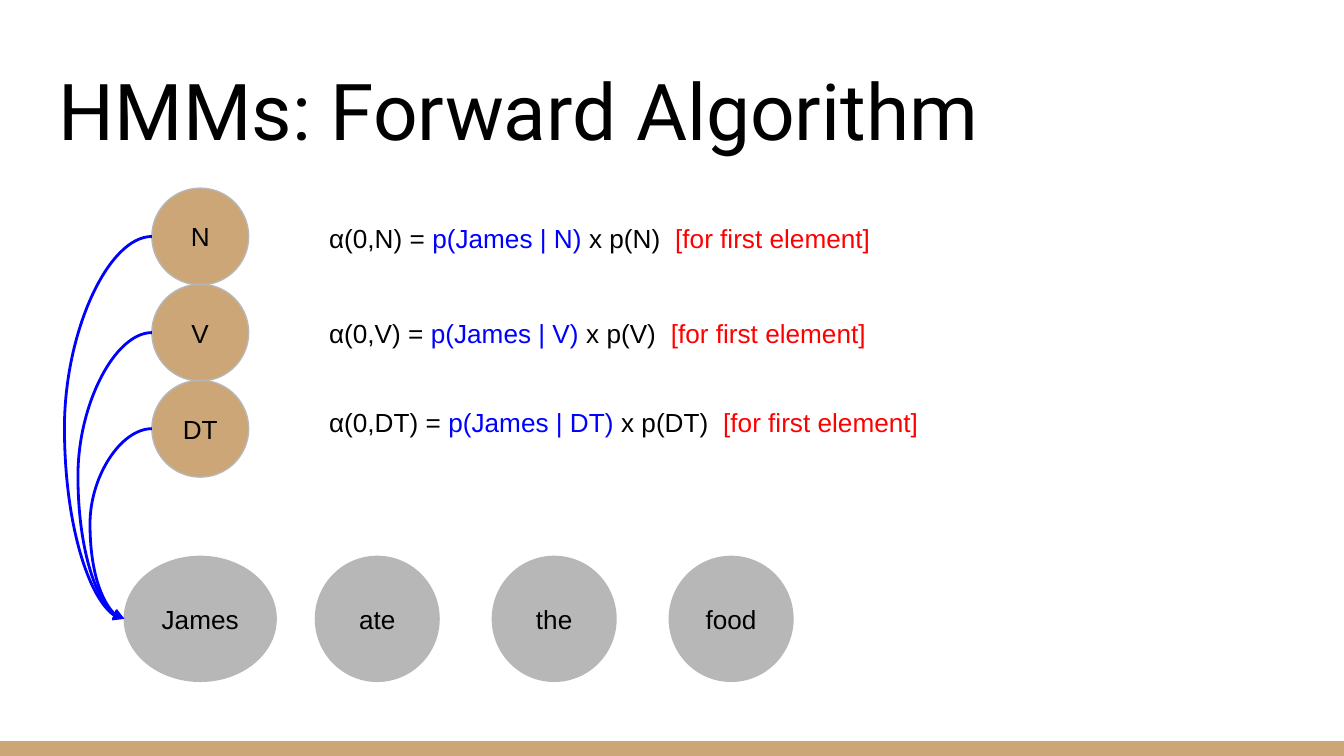
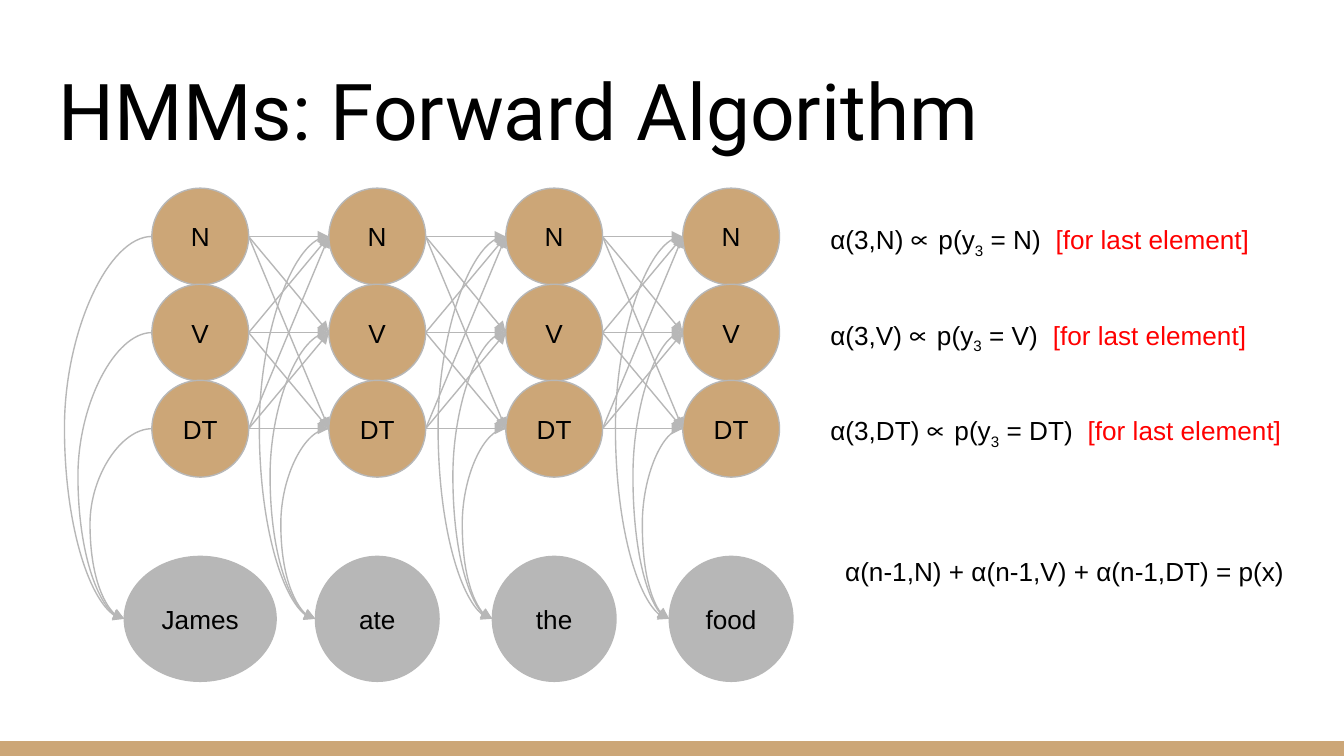
from dataclasses import dataclass

from lxml import etree
from pptx import Presentation
from pptx.dml.color import RGBColor as RGB
from pptx.enum.shapes import MSO_CONNECTOR as LINE, MSO_SHAPE as SHAPE
from pptx.enum.text import MSO_ANCHOR as ANCHOR, PP_ALIGN as ALIGN
from pptx.oxml.ns import qn
from pptx.util import Inches, Pt


@dataclass(frozen=True)
class Theme:
    tan: str = "CCA677"
    gray: str = "B7B7B7"
    blue: str = "0000FF"
    red: str = "FF0000"
    black: str = "000000"
    body_font: str = "Arial"
    title_font: str = "Roboto"
    symbol_font: str = "Courier New"
    title_size: int = 42
    body_size: int = 14
    symbol_size: int = 18
    thin: float = 0.75
    thick: float = 1.5


T = Theme()


def write(sp, text, size=T.body_size, font=T.body_font, color=T.black,
          align=ALIGN.LEFT, anchor=ANCHOR.MIDDLE, baseline=0, spacing=0):
    """Append a formatted run to the first paragraph of a shape."""
    tf = sp.text_frame
    tf.word_wrap = True
    tf.vertical_anchor = anchor
    tf.margin_left = tf.margin_right = tf.margin_top = tf.margin_bottom = Inches(0.1)
    p = tf.paragraphs[0]
    p.alignment = align
    r = p.add_run()
    r.text = text
    r.font.size, r.font.name = Pt(size), font
    r.font.color.rgb = RGB.from_string(color)
    if baseline:
        r.font._element.set("baseline", str(baseline * 1000))
    if spacing:
        r.font._element.set("spc", str(spacing * 100))


def arrow(s, start, end, color=T.gray, width=T.thin, bend_x=None):
    """Draw an arrow, curved through bend_x when that is given."""
    kind = LINE.STRAIGHT if bend_x is None else LINE.CURVE
    c = s.shapes.add_connector(kind, *map(Inches, start + end))
    c.line.color.rgb = RGB.from_string(color)
    c.line.width = Pt(width)
    etree.SubElement(c.line._get_or_add_ln(), qn("a:tailEnd"), type="triangle")
    sp_pr = c._element.spPr
    etree.SubElement(sp_pr, qn("a:effectLst"))
    if bend_x is not None:
        ratio = (start[0] - bend_x) / (start[0] - end[0])
        guides = sp_pr.find(qn("a:prstGeom")).get_or_add_avLst()
        etree.SubElement(guides, qn("a:gd"), name="adj1", fmla=f"val {round(ratio * 100000)}")


# Trellis geometry
TAGS = ["N", "V", "DT"]
WORDS = ["James", "ate", "the", "food"]
TAG_SIZE = 0.72
WORD_TOP, WORD_WIDTH, WORD_HEIGHT, FIRST_WORD_WIDTH = 4.14, 0.92, 0.93, 1.13
FIRST_X, LAST_X = 1.49, 5.44
FIRST_Y, LAST_Y = 1.76, 3.19
centers = [FIRST_X + (LAST_X - FIRST_X) * i / (len(WORDS) - 1) for i in range(len(WORDS))]
tag_ys = [FIRST_Y + (LAST_Y - FIRST_Y) * i / (len(TAGS) - 1) for i in range(len(TAGS))]
word_widths = [FIRST_WORD_WIDTH] + [WORD_WIDTH] * (len(WORDS) - 1)
BENDS = [(0.48, 0.58, 0.67), (1.93, 2.01, 2.09), (3.26, 3.37, 3.44), (4.58, 4.71, 4.78)]

# Formulas: left, top, width, runs
wide_space = (" ", {"spacing": 4})
first_formulas = [
    (2.35, top, width, [
        (f"α(0,{tag}) = ", {}),
        (f"p(James | {tag})", {"color": T.blue}),
        (f" x p({tag})", {}),
        wide_space,
        ("[for first element]", {"color": T.red})])
    for tag, top, width in zip(TAGS, (1.41, 2.12, 2.78), (4.95, 5.19, 5.41))]
last_formulas = [
    (6.08, top, width, [
        (f"α(3,{tag}) ", {}),
        ("∝", {"size": T.symbol_size, "font": T.symbol_font}),
        (" p(y", {}),
        ("3", {"baseline": -25}),
        (f" = {tag})", {}),
        wide_space,
        ("[for last element]", {"color": T.red})])
    for tag, top, width in zip(TAGS, (1.41, 2.12, 2.83), (3.51, 3.51, 3.58))]
total = (6.19, 3.89, 3.58, [("α(n-1,N) + α(n-1,V) + α(n-1,DT) = p(x)", {})])

# Per slide: tag columns shown, emission arrow colour and width, formulas
SLIDES = [
    (1, T.blue, T.thick, first_formulas),
    (len(WORDS), T.gray, T.thin, last_formulas + [total]),
]

prs = Presentation()
prs.slide_width, prs.slide_height = Inches(10), Inches(10 * 9 / 16)

for columns, emit_color, emit_width, formulas in SLIDES:
    s = prs.slides.add_slide(prs.slide_layouts[6])

    # Bottom band and title
    band_height = Inches(0.11)
    band = s.shapes.add_shape(SHAPE.RECTANGLE, 0, prs.slide_height - band_height,
                              prs.slide_width, band_height)
    band.shadow.inherit = False
    band.fill.solid()
    band.fill.fore_color.rgb = RGB.from_string(T.tan)
    band.line.fill.background()
    title = s.shapes.add_textbox(Inches(0.34), Inches(0.35), Inches(9.32), Inches(0.91))
    write(title, "HMMs: Forward Algorithm", size=T.title_size, font=T.title_font,
          anchor=ANCHOR.BOTTOM)

    # Word and tag circles
    nodes = [(word, x, WORD_TOP, w, WORD_HEIGHT, T.gray)
             for word, x, w in zip(WORDS, centers, word_widths)]
    nodes += [(tag, x, y - TAG_SIZE / 2, TAG_SIZE, TAG_SIZE, T.tan)
              for x in centers[:columns] for tag, y in zip(TAGS, tag_ys)]
    for text, x, top, w, h, color in nodes:
        sp = s.shapes.add_shape(SHAPE.OVAL, *map(Inches, (x - w / 2, top, w, h)))
        sp.shadow.inherit = False
        sp.fill.solid()
        sp.fill.fore_color.rgb = RGB.from_string(color)
        sp.line.color.rgb = RGB.from_string(T.gray)
        sp.line.width = Pt(T.thin)
        write(sp, text, align=ALIGN.CENTER)

    # Transitions between neighbouring tag columns
    for x0, x1 in zip(centers[:columns], centers[1:columns]):
        for y0 in tag_ys:
            for y1 in tag_ys:
                arrow(s, (x0 + TAG_SIZE / 2, y0), (x1 - TAG_SIZE / 2, y1))

    # Emissions from each tag to its word
    for x, w, bends in zip(centers[:columns], word_widths, BENDS):
        for y, bend_x in zip(tag_ys, bends):
            arrow(s, (x - TAG_SIZE / 2, y), (x - w / 2, WORD_TOP + WORD_HEIGHT / 2),
                  emit_color, emit_width, bend_x)

    # Formulas
    for left, top, width, runs in formulas:
        sp = s.shapes.add_textbox(*map(Inches, (left, top, width, TAG_SIZE)))
        for text, fmt in runs:
            write(sp, text, **fmt)

prs.save("out.pptx")
